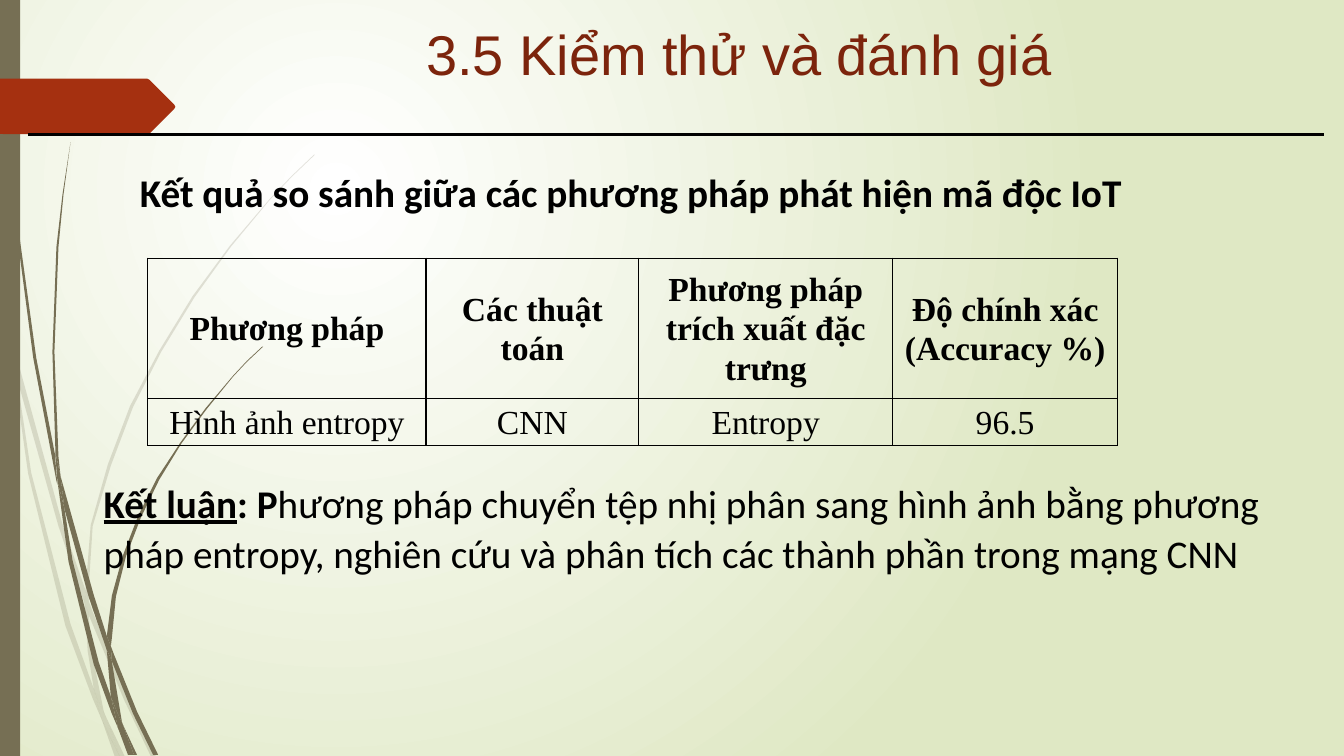
from dataclasses import dataclass
from lxml.etree import SubElement
from pptx import Presentation
from pptx.dml.color import RGBColor
from pptx.enum.shapes import MSO_CONNECTOR, MSO_SHAPE
from pptx.enum.text import MSO_ANCHOR, PP_ALIGN
from pptx.oxml import parse_xml
from pptx.oxml.ns import nsdecls, qn
from pptx.util import Pt

TITLE = "3.5 Kiểm thử và đánh giá"
LEAD = "Kết quả so sánh giữa các phương pháp phát hiện mã độc IoT"
CLOSE = [  # text, bold, underline
    ("Kết luận", True, True),
    (": P", True, False),
    ("hương pháp chuyển tệp nhị phân sang hình ảnh bằng phương pháp entropy, "
     "nghiên cứu và phân tích các thành phần trong mạng CNN", False, False),
]
ROWS = [
    ["Phương pháp", "Các thuật toán", "Phương pháp trích xuất đặc trưng",
     "Độ chính xác\n(Accuracy %)"],
    ["Hình ảnh entropy", "CNN", "Entropy", "96.5"],
]
COLS = [198.7, 152, 181.4, 160.6]
HIGH = [100, 33.8]

# Outlines are counted in units of 0.72 pt
UNIT = Pt(0.72)
PALE = [
    [(11, 350), (9, 322), (0, 282), (0, 299), (10, 344)],
    [(58, 522), (84, 599), (85, 586), (62, 520), (14, 345), (17, 376)],
    [(92, 607), (88, 596), (88, 610), (123, 694), (150, 751), (155, 751),
     (127, 692)],
    [(119, 751), (124, 751), (105, 711)],
    [(93, 683), (70, 619), (31, 469), (17, 376), (11, 350), (28, 470),
     (65, 621), (92, 693), (101, 714), (99, 707)],
    [(84, 599), (87, 646), (93, 683), (96, 692), (105, 711), (103, 706),
     (91, 646), (88, 610), (88, 608)],
    [(88, 584), (92, 522), (110, 462), (132, 404), (160, 349), (193, 295),
     (229, 245), (268, 198), (290, 175), (312, 154), (312, 153), (289, 175),
     (268, 197), (228, 244), (191, 294), (158, 348), (129, 403), (107, 461),
     (90, 521), (85, 584), (85, 586), (88, 596)],
    [(101, 714), (114, 751), (119, 751)],
    [(88, 608), (88, 610), (88, 596), (85, 586), (84, 599)],
    [(96, 692), (93, 683), (99, 707), (101, 714), (119, 751), (105, 711)],
]
DARK = [
    [(7, 110), (17, 233), (33, 355), (56, 477), (57, 481), (55, 457),
     (55, 453), (36, 355), (19, 232), (8, 109), (5, 48), (4, 0), (3, 0),
     (4, 48)],
    [(88, 592), (106, 645), (106, 633), (106, 631), (93, 590), (60, 472),
     (64, 505)],
    [(113, 649), (110, 641), (111, 656), (132, 708), (152, 749), (157, 749),
     (136, 706)],
    [(110, 691), (98, 657), (72, 556), (64, 505), (57, 477), (68, 557),
     (93, 659), (111, 708), (117, 722), (116, 717)],
    [(60, 472), (58, 453), (54, 349), (58, 245), (63, 193), (70, 141),
     (62, 193), (56, 245), (52, 349), (55, 449)],
    [(133, 749), (136, 749), (122, 719)],
    [(57, 477), (64, 505), (60, 472), (55, 449), (55, 453)],
    [(111, 633), (115, 592), (125, 552), (140, 513), (158, 476), (180, 440),
     (205, 406), (231, 374), (245, 359), (261, 344), (260, 344), (245, 358),
     (231, 373), (204, 405), (179, 439), (156, 474), (137, 512), (122, 551),
     (111, 591), (106, 631), (110, 641)],
    [(117, 722), (127, 749), (131, 749)],
    [(106, 645), (110, 691), (116, 706), (122, 719), (121, 716), (111, 656),
     (109, 651)],
    [(106, 645), (109, 651), (111, 656), (110, 641), (106, 631), (106, 633)],
    [(116, 706), (110, 691), (116, 717), (117, 722), (130, 749), (133, 749),
     (122, 719)],
]
TAG = [(173, 108), (148, 133), (146, 134), (136, 134), (0, 133), (0, 78),
       (146, 78), (148, 79), (173, 104), (174, 106)]


@dataclass(frozen=True)
class Theme:
    white: str = "FFFFFF"
    lime: str = "DFE8C4"
    olive: str = "766F54"
    rust: str = "A53010"
    brown: str = "7C240C"
    ink: str = "000000"
    head: str = "Arial"
    body: str = "Calibri"
    grid: str = "Times New Roman"
    big: int = 40
    mid: int = 28
    small: int = 24


T = Theme()


def rgb(tone):
    return RGBColor.from_string(tone)


def paint(shape, tone, alpha=100):
    shape.shadow.inherit = False
    shape.line.fill.background()
    shape.fill.solid()
    shape.fill.fore_color.rgb = rgb(tone)
    if alpha < 100:
        clr = shape._element.spPr.find(".//" + qn("a:srgbClr"))
        SubElement(clr, qn("a:alpha"), val=str(alpha * 1000))


def trace(shapes, spots, tone, alpha=100):
    """Draw one closed outline given in UNIT steps."""
    pen = shapes.build_freeform(*spots[0], scale=UNIT)
    pen.add_line_segments(spots[1:], close=True)
    paint(pen.convert_to_shape(), tone, alpha)


def write(para, text, face, size, tone=T.ink, bold=False, under=False):
    run = para.add_run()
    run.text = text
    font = run.font
    font.name, font.size, font.bold = face, Pt(size), bold
    font.color.rgb = rgb(tone)
    if under:
        font.underline = True


def space(para):
    para.line_spacing = 1.07
    para.space_after = Pt(8)


def box(slide, x, y, w, h):
    frame = slide.shapes.add_textbox(Pt(x), Pt(y), Pt(w), Pt(h)).text_frame
    frame.word_wrap = True
    return frame.paragraphs[0]


def edge(cell):
    props = cell._tc.get_or_add_tcPr()
    for spot, side in enumerate("LRTB"):
        props.insert(spot, parse_xml(
            f'<a:ln{side} {nsdecls("a")} w="{Pt(1)}"><a:solidFill>'
            f'<a:srgbClr val="{T.ink}"/></a:solidFill></a:ln{side}>'))


def fill_cell(cell, text, bold):
    cell.fill.background()
    edge(cell)
    cell.vertical_anchor = MSO_ANCHOR.MIDDLE
    cell.margin_left = cell.margin_right = Pt(3)
    cell.margin_top = cell.margin_bottom = 0
    para = cell.text_frame.paragraphs[0]
    para.alignment = PP_ALIGN.CENTER
    space(para)
    for i, part in enumerate(text.split("\n")):
        if i:
            para.add_line_break()
        write(para, part, T.grid, T.small, bold=bold)


def add_back(slide):
    """Round gradient whose light centre sits up and left."""
    fill = slide.background.fill
    fill.gradient()
    for stop, tone in zip(fill.gradient_stops, (T.white, T.lime)):
        stop.color.rgb = rgb(tone)
    lin = slide._element.find(".//" + qn("a:gradFill") + "/" + qn("a:lin"))
    lin.getparent().replace(lin, parse_xml(
        f'<a:path {nsdecls("a")} path="circle"><a:fillToRect l="50000" '
        't="50000" r="100000" b="100000"/></a:path>'))


def add_decor(slide):
    for blades, alpha in ((PALE, 20), (DARK, 100)):
        group = slide.shapes.add_group_shape()
        for blade in blades:
            trace(group.shapes, blade, T.olive, alpha)
    bar = slide.shapes.add_shape(MSO_SHAPE.RECTANGLE, 0, 0, Pt(14.4), Pt(540))
    paint(bar, T.olive)
    trace(slide.shapes, TAG, T.rust)


def add_title(slide):
    title = slide.shapes.title
    title.left, title.top = Pt(120.2), Pt(5)
    title.width, title.height = Pt(815), Pt(66.2)
    title.text_frame.vertical_anchor = MSO_ANCHOR.MIDDLE
    para = title.text_frame.paragraphs[0]
    para.alignment = PP_ALIGN.CENTER
    write(para, TITLE, T.head, T.big, T.brown)
    rule = slide.shapes.add_connector(
        MSO_CONNECTOR.STRAIGHT, Pt(20), Pt(96), Pt(946), Pt(96))
    rule.line.color.rgb = rgb(T.ink)
    rule.line.width = Pt(2)
    SubElement(rule._element.spPr, qn("a:effectLst"))


def add_grid(slide):
    grid = slide.shapes.add_table(
        len(ROWS), len(COLS), Pt(105.6), Pt(184.5), Pt(sum(COLS)),
        Pt(sum(HIGH))).table
    grid.first_row = grid.horz_banding = False
    for col, wide in zip(grid.columns, COLS):
        col.width = Pt(wide)
    for r, row in enumerate(ROWS):
        grid.rows[r].height = Pt(HIGH[r])
        for c, text in enumerate(row):
            fill_cell(grid.cell(r, c), text, bold=r == 0)


def main():
    deck = Presentation()
    deck.slide_width, deck.slide_height = Pt(960), Pt(540)
    slide = deck.slides.add_slide(deck.slide_layouts[5])
    add_back(slide)
    add_decor(slide)
    add_title(slide)
    end = box(slide, 67, 336.3, 867.6, 78.5)
    space(end)
    for text, bold, under in CLOSE:
        write(end, text, T.body, T.mid, bold=bold, under=under)
    add_grid(slide)
    write(box(slide, 92.9, 116.6, 748.8, 41), LEAD, T.body, T.mid, bold=True)
    deck.save("out.pptx")


if __name__ == "__main__":
    main()
